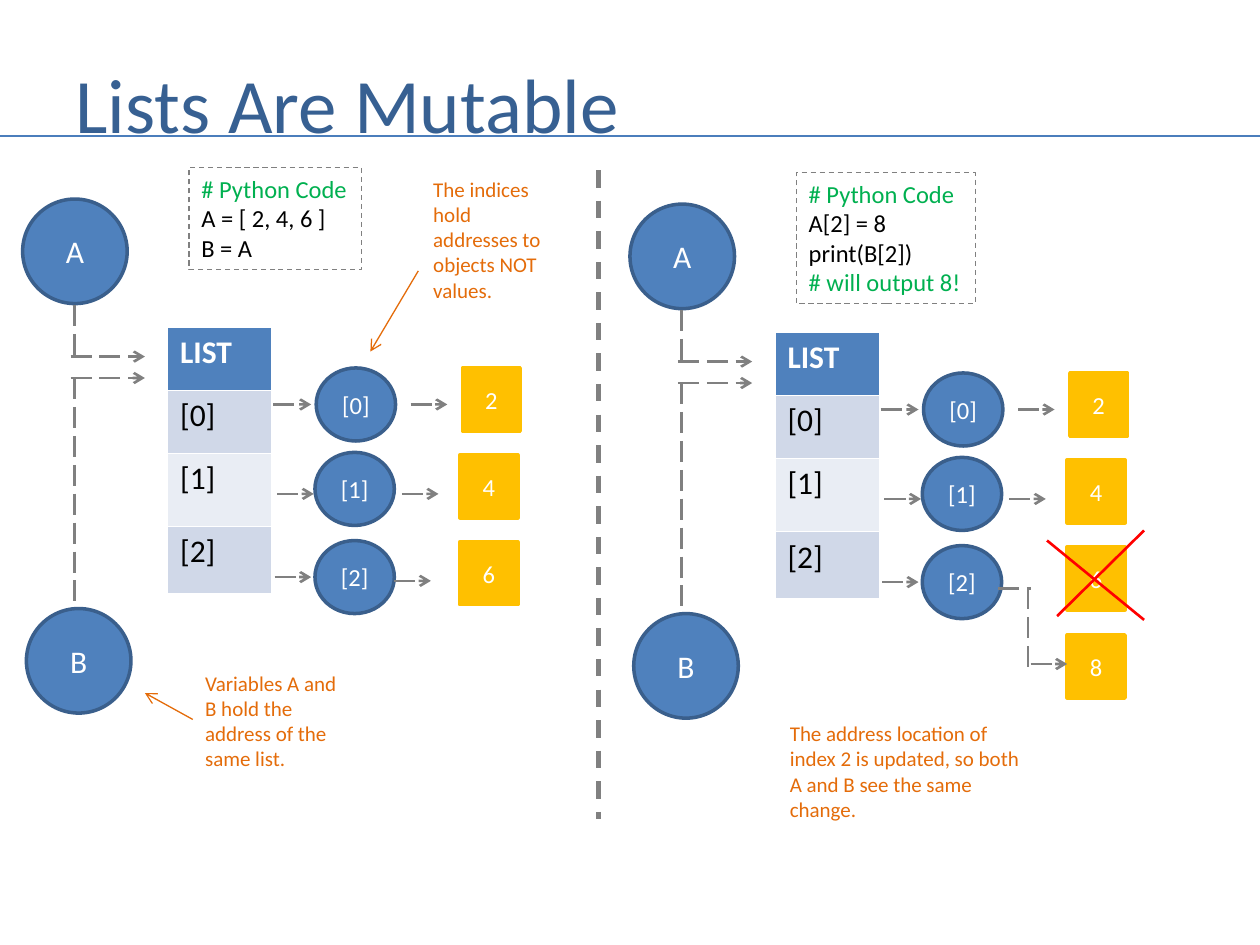
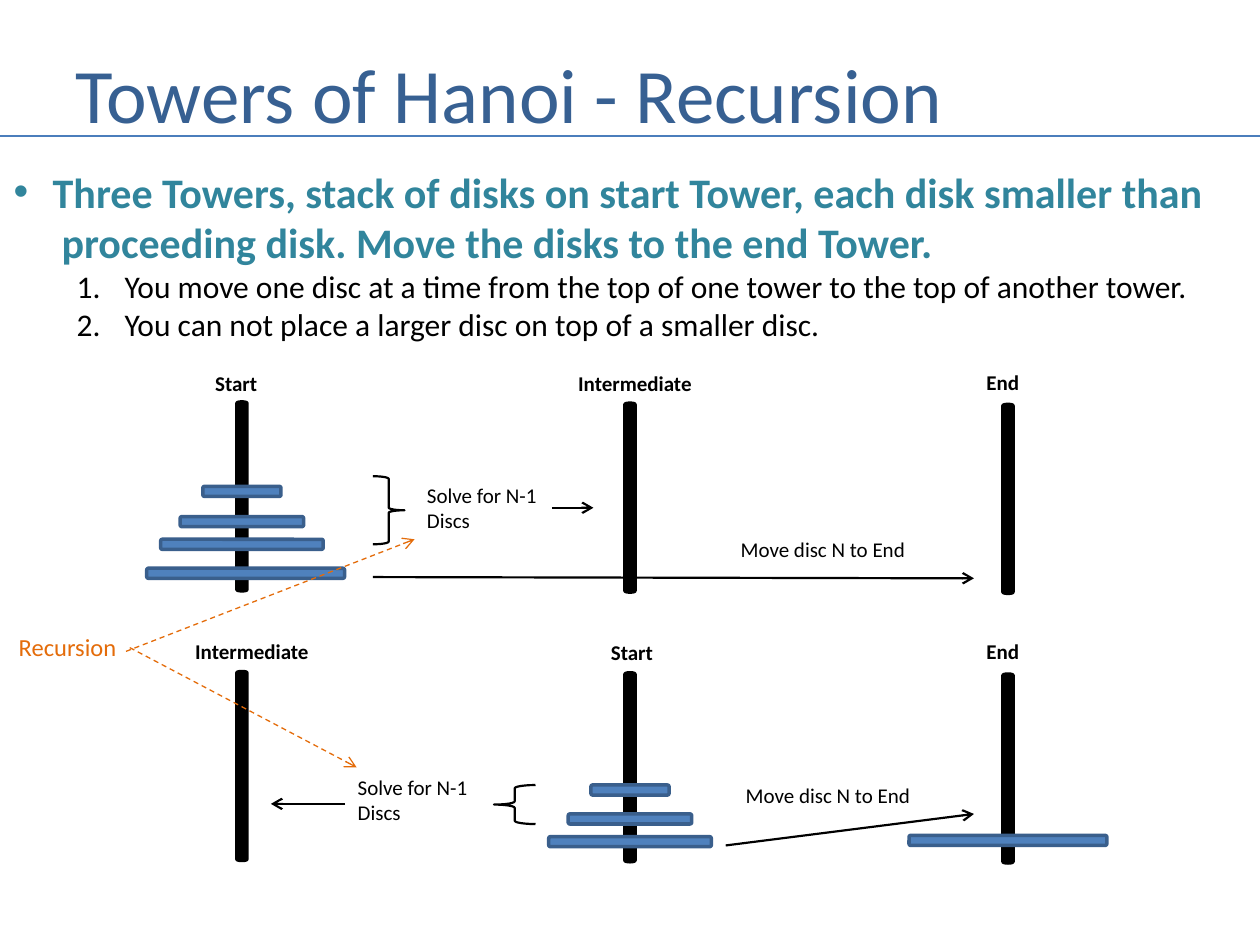
"""Build two teaching slides: list mutability and the Towers of Hanoi."""
from dataclasses import dataclass

from lxml import etree
from pptx import Presentation
from pptx.dml.color import RGBColor
from pptx.enum.dml import MSO_LINE
from pptx.enum.shapes import MSO_CONNECTOR, MSO_SHAPE
from pptx.enum.text import MSO_ANCHOR, MSO_AUTO_SIZE, PP_ALIGN
from pptx.oxml.ns import qn
from pptx.util import Inches, Pt

ELLIPSE = MSO_SHAPE.OVAL
RECTANGLE = MSO_SHAPE.RECTANGLE
CAN = MSO_SHAPE.CAN
DISC = MSO_SHAPE.ROUNDED_RECTANGLE
BRACE = MSO_SHAPE.RIGHT_BRACE
STRAIGHT = MSO_CONNECTOR.STRAIGHT
DASH = MSO_LINE.DASH
LONG_DASH = MSO_LINE.LONG_DASH
MIDDLE = MSO_ANCHOR.MIDDLE
LEFT = PP_ALIGN.LEFT
CENTER = PP_ALIGN.CENTER
NO_FIT = MSO_AUTO_SIZE.NONE


@dataclass(frozen=True)
class Theme:
    font: str = "Calibri"
    title: str = "376092"
    rule: str = "4B7EBC"
    blue: str = "4F81BD"
    blue_edge: str = "3A5F8C"
    band_dark: str = "D0D8E8"
    band_light: str = "E9EDF4"
    gold: str = "FFC000"
    orange: str = "E46C0A"
    green: str = "00B050"
    teal: str = "31859C"
    gray: str = "808080"
    red: str = "FF0000"
    white: str = "FFFFFF"
    black: str = "000000"
    title_size: int = 44
    lead_size: int = 24
    body_size: int = 18
    label_size: int = 14
    note_size: int = 12


theme = Theme()


def add_box(slide, kind, box, lines=(), size=theme.note_size, color=theme.black, bold=False,
            fill=None, edge=None, edge_width=2, wrap=False):
    """Add a preset shape, or a text box when kind is None."""
    place = [Inches(length) for length in box]
    if kind is None:
        shape = slide.shapes.add_textbox(*place)
    else:
        shape = slide.shapes.add_shape(kind, *place)
        shape.shadow.inherit = False
        shape.text_frame.vertical_anchor = MIDDLE
    if fill:
        shape.fill.solid()
        shape.fill.fore_color.rgb = RGBColor.from_string(fill)
    else:
        shape.fill.background()
    if edge:
        shape.line.color.rgb = RGBColor.from_string(edge)
        shape.line.width = Pt(edge_width)
    frame = shape.text_frame
    frame.word_wrap = wrap
    for number, line in enumerate(lines):
        paragraph = frame.add_paragraph() if number else frame.paragraphs[0]
        paragraph.add_run().text = line
        paragraph.alignment = LEFT if kind is None else CENTER
        paragraph.font.name = theme.font
        paragraph.font.size = Pt(size)
        paragraph.font.bold = bold
        paragraph.font.color.rgb = RGBColor.from_string(theme.green if line.startswith("#") else color)
    return shape


def add_line(slide, ends, color, width, dash=None, arrow=False):
    """Add a straight line from (x1, y1) to (x2, y2), with an optional arrowhead."""
    connector = slide.shapes.add_connector(STRAIGHT, *[Inches(length) for length in ends])
    connector.line.color.rgb = RGBColor.from_string(color)
    connector.line.width = Pt(width)
    if dash:
        connector.line.dash_style = dash
    properties = connector._element.spPr
    if arrow:
        etree.SubElement(properties.find(qn("a:ln")), qn("a:tailEnd"), type="arrow")
    etree.SubElement(properties, qn("a:effectLst"))


presentation = Presentation()
presentation.slide_width, presentation.slide_height = Inches(10), Inches(7.5)
slides = []
for text, top, width in (("Lists Are Mutable", 0.38, 7.17), ("Towers of Hanoi - Recursion", 0.3, 9.08)):
    slide = presentation.slides.add_slide(presentation.slide_layouts[5])
    title = slide.shapes.title
    title.left, title.top, title.width, title.height = Inches(0.5), Inches(top), Inches(width), Inches(0.87)
    title.text_frame.text = text
    title.text_frame.vertical_anchor = MIDDLE
    title.text_frame.auto_size = NO_FIT
    paragraph = title.text_frame.paragraphs[0]
    paragraph.alignment = LEFT
    paragraph.font.name = theme.font
    paragraph.font.size = Pt(theme.title_size)
    paragraph.font.color.rgb = RGBColor.from_string(theme.title)
    add_line(slide, (0, 1.08, 10, 1.08), theme.rule, 1.5)
    slides.append(slide)
lists_slide, hanoi_slide = slides

list_rows = (("LIST", 0.5, theme.blue), ("[0]", 0.5, theme.band_dark),
             ("[1]", 0.58, theme.band_light), ("[2]", 0.53, theme.band_dark))
variables = (("A", 0.18, 1.58), ("B", 0.21, 4.83))
indices = (("[0]", 2.51, 2.92), ("[1]", 2.5, 3.59), ("[2]", 2.5, 4.29))
values = (("2", 3.67, 2.92), ("4", 3.65, 3.61), ("6", 3.65, 4.3))
stems = ((0.59, 2.42, 0.59, 2.83), (0.59, 3, 0.59, 4.83))
pointers = ((0.56, 2.83, 1.15), (0.56, 3, 1.15), (2.17, 3.21, 2.47), (2.2, 3.92, 2.49),
            (2.18, 4.58, 2.47), (3.26, 3.21, 3.55), (3.19, 3.92, 3.48))

for right, down in ((0, 0), (4.82, 0.04)):
    table_frame = lists_slide.shapes.add_table(
        len(list_rows), 1, Inches(1.33 + right), Inches(2.6 + down), Inches(0.83), Inches(2.11))
    for number, (text, height, fill) in enumerate(list_rows):
        table_frame.table.rows[number].height = Inches(height)
        cell = table_frame.table.cell(number, 0)
        cell.fill.solid()
        cell.fill.fore_color.rgb = RGBColor.from_string(fill)
        cell.text = text
        font = cell.text_frame.paragraphs[0].font
        font.name = theme.font
        font.size = Pt(theme.body_size)
        font.bold = number == 0
        font.color.rgb = RGBColor.from_string(theme.black if number else theme.white)
    for name, left, top in variables:
        add_box(lists_slide, ELLIPSE, (left + right, top + down, 0.83, 0.83), [name],
                theme.body_size, theme.white, fill=theme.blue, edge=theme.blue_edge)
    for name, left, top in indices:
        add_box(lists_slide, ELLIPSE, (left + right, top + down, 0.63, 0.58), [name],
                theme.label_size, theme.white, fill=theme.blue, edge=theme.blue_edge)
    for x1, y1, x2, y2 in stems:
        add_line(lists_slide, (x1 + right, y1 + down, x2 + right, y2 + down), theme.gray, 1.5, LONG_DASH)
    for start, level, end in pointers:
        add_line(lists_slide, (start + right, level + down, end + right, level + down),
                 theme.gray, 1.5, LONG_DASH, arrow=True)
    for value, left, top in values:
        add_box(lists_slide, RECTANGLE, (left + right, top + down, 0.46, 0.5), [value],
                theme.label_size, theme.white, fill=theme.gold, edge=theme.gold)

add_box(lists_slide, RECTANGLE, (8.47, 5.04, 0.46, 0.5), ["8"], theme.label_size, theme.white,
        fill=theme.gold, edge=theme.gold)
for ends, arrow in (((3.13, 4.61, 3.42, 4.61), True), ((7.92, 4.67, 8.18, 4.67), False),
                    ((8.16, 4.67, 8.16, 5.29), False), ((8.18, 5.27, 8.47, 5.27), True)):
    add_line(lists_slide, ends, theme.gray, 1.5, LONG_DASH, arrow)
for ends in ((8.31, 4.29, 9.08, 4.92), (8.39, 4.89, 9.08, 4.21)):
    add_line(lists_slide, ends, theme.red, 1.5)
add_line(lists_slide, (4.75, 1.35, 4.75, 6.5), theme.gray, 2.5, DASH)

for box, code in (((1.5, 1.33, 1.37, 0.81), ["# Python Code", "A = [ 2, 4, 6 ]", "B = A"]),
                  ((6.32, 1.37, 1.42, 1.04),
                   ["# Python Code", "A[2] = 8", "print(B[2])", "# will output 8!"])):
    code_box = add_box(lists_slide, None, box, code, theme.label_size, edge=theme.gray, edge_width=0.75)
    code_box.line.dash_style = DASH
for box, note in (
        ((1.53, 5.27, 1.33, 0.91), ["Variables A and B hold the", "address of the same list."]),
        ((3.34, 1.35, 1.1, 1.11), ["The indices hold", "addresses to", "objects NOT values."]),
        ((6.17, 5.67, 2.06, 0.91),
         ["The address location of index 2 is updated, so both A and B see the same change."])):
    add_box(lists_slide, None, box, note, color=theme.orange, wrap=True)
for ends in ((1.53, 5.71, 1.15, 5.5), (3.32, 2.15, 2.94, 2.79)):
    add_line(lists_slide, ends, theme.orange, 0.75, arrow=True)

rules = (
    ("Three Towers, stack of disks on start Tower, each disk smaller than", 0.31, -0.31, "buChar", {"char": "•"}),
    ("proceeding disk. Move the disks to the end Tower.", 0.38, 0, "buNone", {}),
    ("You move one disc at a time from the top of one tower to the top of another tower.",
     0.88, -0.38, "buAutoNum", {"type": "arabicPeriod"}),
    ("You can not place a larger disc on top of a smaller disc.",
     0.88, -0.38, "buAutoNum", {"type": "arabicPeriod"}))
frame = add_box(hanoi_slide, None, (0.01, 1.27, 9.99, 1.51), wrap=True).text_frame
for number, (text, margin, indent, bullet, settings) in enumerate(rules):
    paragraph = frame.add_paragraph() if number else frame.paragraphs[0]
    paragraph.add_run().text = text
    lead = number < 2
    paragraph.level = 0 if lead else 1
    properties = paragraph._p.get_or_add_pPr()
    properties.set("marL", str(Inches(margin)))
    properties.set("indent", str(Inches(indent)))
    if bullet == "buChar":
        etree.SubElement(properties, qn("a:buFont"), typeface="Arial")
    etree.SubElement(properties, qn(f"a:{bullet}"), settings)
    paragraph.font.name = theme.font
    paragraph.font.size = Pt(theme.lead_size if lead else theme.body_size)
    paragraph.font.bold = lead
    paragraph.font.color.rgb = RGBColor.from_string(theme.teal if lead else theme.black)

for row_top in (3.19, 5.33):
    for number, left in enumerate((1.88, 4.96, 7.96)):
        add_box(hanoi_slide, CAN, (left, row_top + 0.01 * number, 0.08, 1.5),
                fill=theme.black, edge=theme.black)

discs = ((1.95, 4.51, 1.57), (1.92, 4.28, 1.29), (1.92, 4.1, 0.98), (1.92, 3.86, 0.62),
         (8, 6.63, 1.57), (5, 6.64, 1.29), (5, 6.46, 0.98), (5, 6.23, 0.62))
for center, top, width in discs:
    add_box(hanoi_slide, DISC, (center - width / 2, top, width, 0.08), fill=theme.blue, edge=theme.blue_edge)

tower_labels = (("Start", 1.61, 2.89, 0.54), ("Intermediate", 4.49, 2.89, 1.11), ("End", 7.73, 2.88, 0.47),
                ("Intermediate", 1.45, 5.02, 1.11), ("Start", 4.75, 5.03, 0.54), ("End", 7.73, 5.02, 0.47))
for text, left, top, width in tower_labels:
    add_box(hanoi_slide, None, (left, top, width, 0.3), [text], bold=True)
for left, top in ((3.29, 3.78), (2.74, 6.1)):
    add_box(hanoi_slide, None, (left, top, 1.08, 0.5), ["Solve for N-1", "Discs"])
for left, top in ((5.78, 4.21), (5.82, 6.16)):
    add_box(hanoi_slide, None, (left, top, 1.52, 0.3), ["Move disc N to End"])
for box, rotation in (((2.96, 3.78, 0.25, 0.54), 0), ((3.92, 6.23, 0.33, 0.31), 180)):
    brace = add_box(hanoi_slide, BRACE, box, edge=theme.black, edge_width=1.25)
    brace.rotation = rotation
for ends in ((4.38, 4.03, 4.71, 4.03), (2.96, 4.58, 7.73, 4.59),
             (5.76, 6.71, 7.73, 6.46), (2.74, 6.38, 2.15, 6.38)):
    add_line(hanoi_slide, ends, theme.black, 1.25, arrow=True)

add_box(hanoi_slide, None, (0.05, 4.97, 0.98, 0.34), ["Recursion"], theme.label_size, theme.orange)
for ends in ((1, 5.17, 3.29, 4.28), (1.03, 5.14, 2.83, 6.09)):
    add_line(hanoi_slide, ends, theme.orange, 0.75, DASH, arrow=True)

presentation.save("out.pptx")
